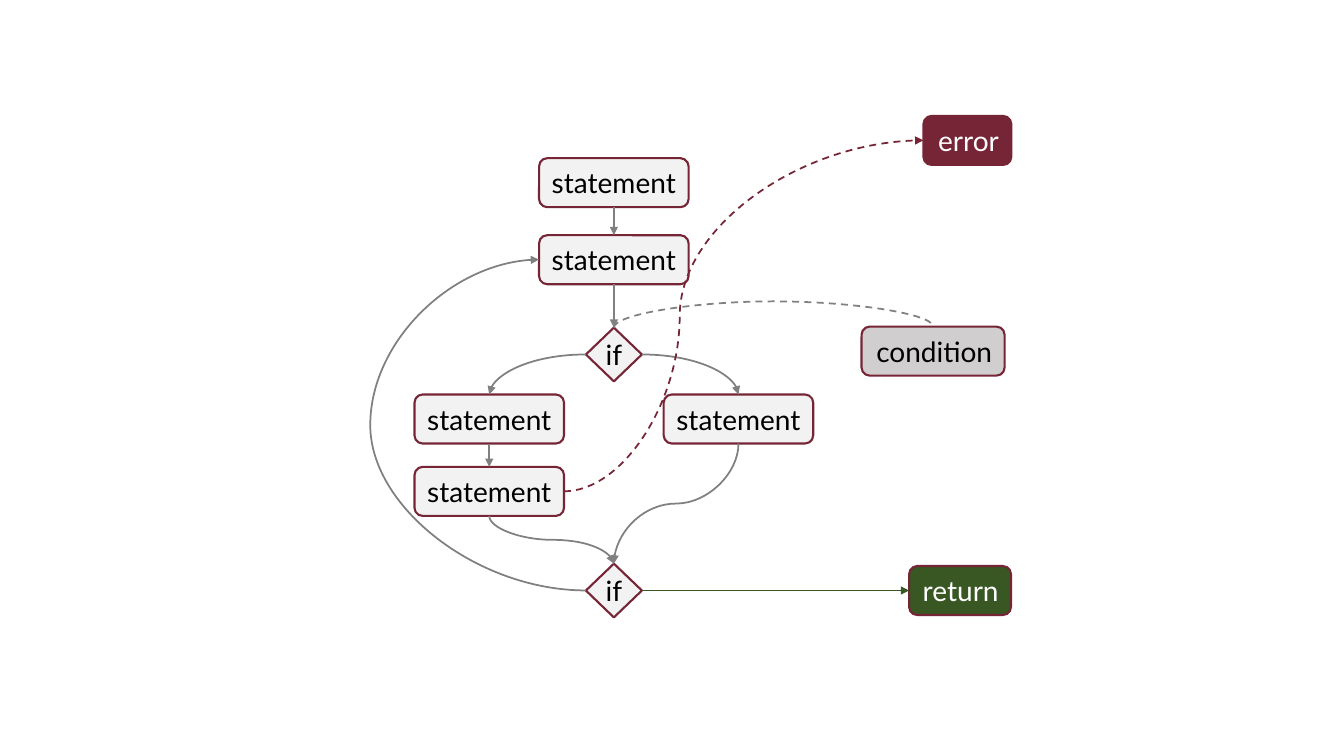
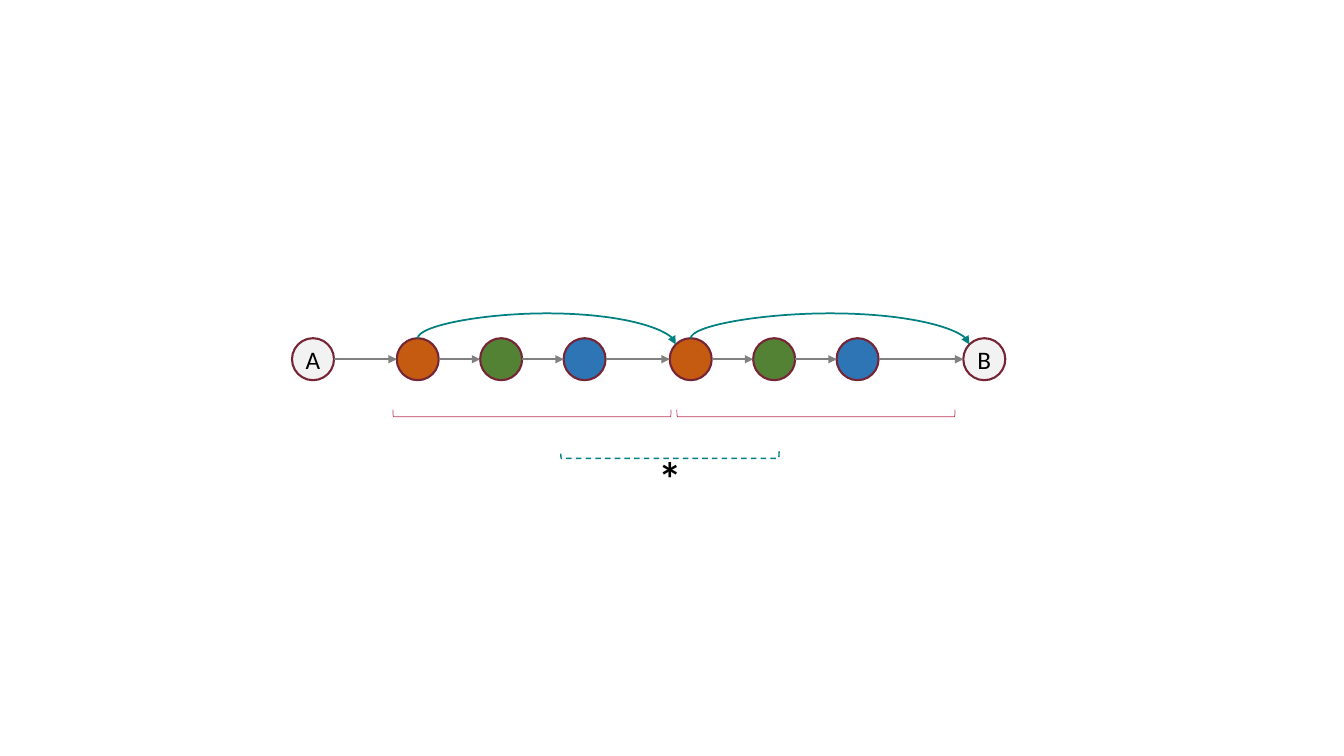
import pptx
import pptx.util
import pptx.dml.color
import pptx.enum.dml
import pptx.enum.shapes
import pptx.enum.text
import pptx.oxml
from pptx.oxml.ns import qn

Pt = pptx.util.Pt
SHAPE = pptx.enum.shapes.MSO_SHAPE
CONNECTOR = pptx.enum.shapes.MSO_CONNECTOR
ALIGN = pptx.enum.text.PP_ALIGN
ANCHOR = pptx.enum.text.MSO_ANCHOR
DASH = pptx.enum.dml.MSO_LINE.DASH

# Shared colours and sizes
MAROON, ROSE, TEAL, GREY = "762536", "B83A55", "008080", "808080"
PALE, SILVER, FOREST = "F2F2F2", "D0CECE", "385723"
STEP_COLOURS = ["C55A11", "548235", "2E75B6"]
BLACK, WHITE = "000000", "FFFFFF"
BOX_H = 35
STATEMENT_W = 106.8
CIRCLE_D = 30
TOP, LEFT, BOTTOM, RIGHT = range(4)


def rgb(colour):
    return pptx.dml.color.RGBColor.from_string(colour)


def set_line(line, colour, width, dashed=False):
    line.color.rgb = rgb(colour)
    line.width = Pt(width)
    if dashed:
        line.dash_style = DASH


def add_node(s, kind, cx, top, w, h, fill, line=MAROON, width=1.5, dashed=False):
    """Preset shape centred on cx."""
    sp = s.shapes.add_shape(kind, Pt(cx - w / 2), Pt(top), Pt(w), Pt(h))
    sp.shadow.inherit = False
    if fill:
        sp.fill.solid()
        sp.fill.fore_color.rgb = rgb(fill)
    else:
        sp.fill.background()
    set_line(sp.line, line, width, dashed)
    return sp


def write(sp, text, size, font="Lato", colour=BLACK, align=ALIGN.CENTER,
          inset=(0, 0), bold=False, wrap=False):
    tf = sp.text_frame
    tf.word_wrap = wrap
    tf.vertical_anchor = ANCHOR.MIDDLE
    tf.margin_left = tf.margin_right = Pt(inset[0])
    tf.margin_top = tf.margin_bottom = Pt(inset[1])
    p = tf.paragraphs[0]
    p.text = text
    p.alignment = align
    f = p.runs[0].font
    f.name, f.size, f.bold = font, Pt(size), bold
    f.color.rgb = rgb(colour)


def add_box(s, text, cx, top, w=STATEMENT_W, fill=PALE, colour=BLACK, align=ALIGN.CENTER):
    sp = add_node(s, SHAPE.ROUNDED_RECTANGLE, cx, top, w, BOX_H, fill)
    write(sp, text, 20, colour=colour, align=align, inset=(7.2, 3.6))
    return sp


def add_if(s, cx, top):
    sp = add_node(s, SHAPE.DIAMOND, cx, top, 40, 38.4, PALE)
    write(sp, "if", 20, wrap=True)
    return sp


def add_circle(s, cx, cy, fill, text=None):
    sp = add_node(s, SHAPE.OVAL, cx, cy - CIRCLE_D / 2, CIRCLE_D, CIRCLE_D, fill)
    if text:
        write(sp, text, 18, font="Calibri")


def add_bracket(s, cx, cy, length, colour, width, dashed=False):
    """Bracket open to the top: a right bracket turned by a quarter."""
    sp = add_node(s, SHAPE.RIGHT_BRACKET, cx, cy - length / 2, 5, length,
                  None, colour, width, dashed)
    sp.rotation = 90
    return sp


# Connectors
def style_connector(cn, colour, dashed, arrow):
    set_line(cn.line, colour, 1.25, dashed)
    if arrow:
        tail = pptx.oxml.parse_xml(
            '<a:tailEnd xmlns:a="http://schemas.openxmlformats.org/drawingml/2006/main"'
            ' type="triangle"/>')
        cn.line._get_or_add_ln().append(tail)
    spPr = cn._element.spPr
    spPr.append(spPr.makeelement(qn("a:effectLst"), {}))


def bend(cn, vertical, via):
    """Leave the start vertically if asked, and turn at the coordinate via."""
    x1, y1, x2, y2 = cn.begin_x, cn.begin_y, cn.end_x, cn.end_y
    start, end = (y1, y2) if vertical else (x1, x2)
    spPr = cn._element.spPr
    if vertical:
        # Ends turned back by 90 degrees around the centre
        cx, cy = (x1 + x2) // 2, (y1 + y2) // 2
        cn.begin_x, cn.begin_y = cx + y1 - cy, cy - x1 + cx
        cn.end_x, cn.end_y = cx + y2 - cy, cy - x2 + cx
        spPr.find(qn("a:xfrm")).set("rot", "5400000")
    if via is not None:
        ratio = round((Pt(via) - start) / (end - start) * 100000)
        guides = spPr.find(qn("a:prstGeom")).get_or_add_avLst()
        guides.append(guides.makeelement(
            qn("a:gd"), {"name": "adj1", "fmla": f"val {ratio}"}))


def add_line(s, x1, y1, x2, y2, colour=GREY, via=None):
    """Free arrow; with via, an arc that leaves the start vertically."""
    kind = CONNECTOR.STRAIGHT if via is None else CONNECTOR.CURVE
    cn = s.shapes.add_connector(kind, Pt(x1), Pt(y1), Pt(x2), Pt(y2))
    if via is not None:
        bend(cn, True, via)
    style_connector(cn, colour, False, True)


def join(s, a, a_side, b, b_side, colour=GREY, curve=False, via=None,
         dashed=False, arrow=True):
    """Connector between two shapes, straight or curved."""
    kind = CONNECTOR.CURVE if curve else CONNECTOR.STRAIGHT
    cn = s.shapes.add_connector(kind, 0, 0, 0, 0)
    cn.begin_connect(a, a_side)
    cn.end_connect(b, b_side)
    if curve:
        from_vertical, to_vertical = (side in (TOP, BOTTOM) for side in (a_side, b_side))
        if from_vertical != to_vertical:
            cn._element.spPr.find(qn("a:prstGeom")).set("prst", "curvedConnector2")
        else:
            bend(cn, from_vertical, via)
    style_connector(cn, colour, dashed, arrow)


# Slides
def control_flow(prs):
    s = prs.slides.add_slide(prs.slide_layouts[6])
    mid, offset = 438.5, 89

    first = add_box(s, "statement", mid, 113)
    second = add_box(s, "statement", mid, 168)
    branch = add_if(s, mid, 234)
    then_1 = add_box(s, "statement", mid - offset, 281.8)
    then_2 = add_box(s, "statement", mid - offset, 333.5)
    other = add_box(s, "statement", mid + offset, 281.8)
    repeat = add_if(s, mid, 402.6)
    error = add_box(s, "error", 691, 82.8, 62.8, MAROON, WHITE, ALIGN.RIGHT)
    condition = add_box(s, "condition", 666.5, 233.3, 102.2, SILVER, align=ALIGN.RIGHT)
    result = add_box(s, "return", 685.8, 404.3, 72.8, FOREST, WHITE, ALIGN.RIGHT)

    for upper, lower in [(first, second), (second, branch), (then_1, then_2)]:
        join(s, upper, BOTTOM, lower, TOP)
    join(s, branch, LEFT, then_1, TOP, curve=True)
    join(s, branch, RIGHT, other, TOP, curve=True)
    for last in (then_2, other):
        join(s, last, BOTTOM, repeat, TOP, curve=True)
    join(s, branch, TOP, condition, TOP, curve=True, via=215.5, dashed=True, arrow=False)
    join(s, then_2, RIGHT, error, LEFT, MAROON, curve=True, via=485.5, dashed=True)
    join(s, repeat, RIGHT, result, LEFT, FOREST)
    join(s, repeat, LEFT, second, LEFT, curve=True, via=264.5)


def repeated_path(prs):
    s = prs.slides.add_slide(prs.slide_layouts[6])
    cy, radius, pitch = 256.6, CIRCLE_D / 2, 59.6
    group_starts = [298.4, 493.4]
    a_x, b_x = 223.6, 703.1

    # Nodes and the arrows between neighbours
    steps = [(x + i * pitch, colour, None)
             for x in group_starts for i, colour in enumerate(STEP_COLOURS)]
    nodes = [(a_x, PALE, "A"), *steps, (b_x, PALE, "B")]
    for cx, fill, text in nodes:
        add_circle(s, cx, cy, fill, text)
    for (x1, *_), (x2, *_) in zip(nodes, nodes[1:]):
        add_line(s, x1 + radius, cy, x2 - radius, cy)

    # Arcs from each group to the next, ending at the upper left of a circle
    diagonal = radius * 0.71
    for x1, x2 in zip(group_starts, [group_starts[1], b_x]):
        add_line(s, x1, cy - radius, x2 - diagonal, cy - diagonal, TEAL, via=223.7)

    # Brackets
    for cx in (380, 582.8):
        add_bracket(s, cx, 295.2, 198.7, ROSE, 0.5)
    star = add_bracket(s, 478.5, 325, 156, TEAL, 1, dashed=True)
    write(star, "*", 32, bold=True, inset=(7.2, 3.6))
    tf = star.text_frame
    tf.margin_left = Pt(30.2)
    tf.vertical_anchor = ANCHOR.TOP
    tf._txBody.bodyPr.set("vert", "vert270")


def main():
    prs = pptx.Presentation()
    prs.slide_width, prs.slide_height = Pt(960), Pt(540)
    control_flow(prs)
    repeated_path(prs)
    prs.save("out.pptx")


if __name__ == "__main__":
    main()
